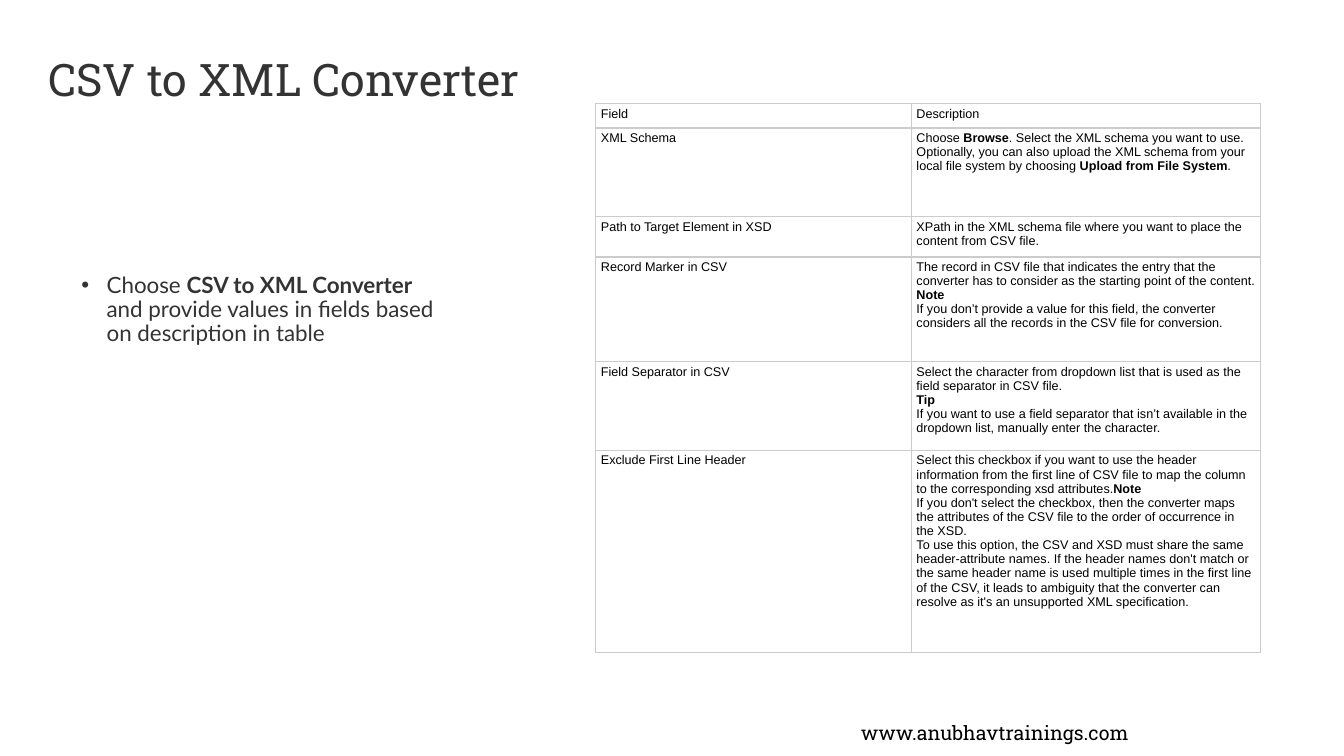
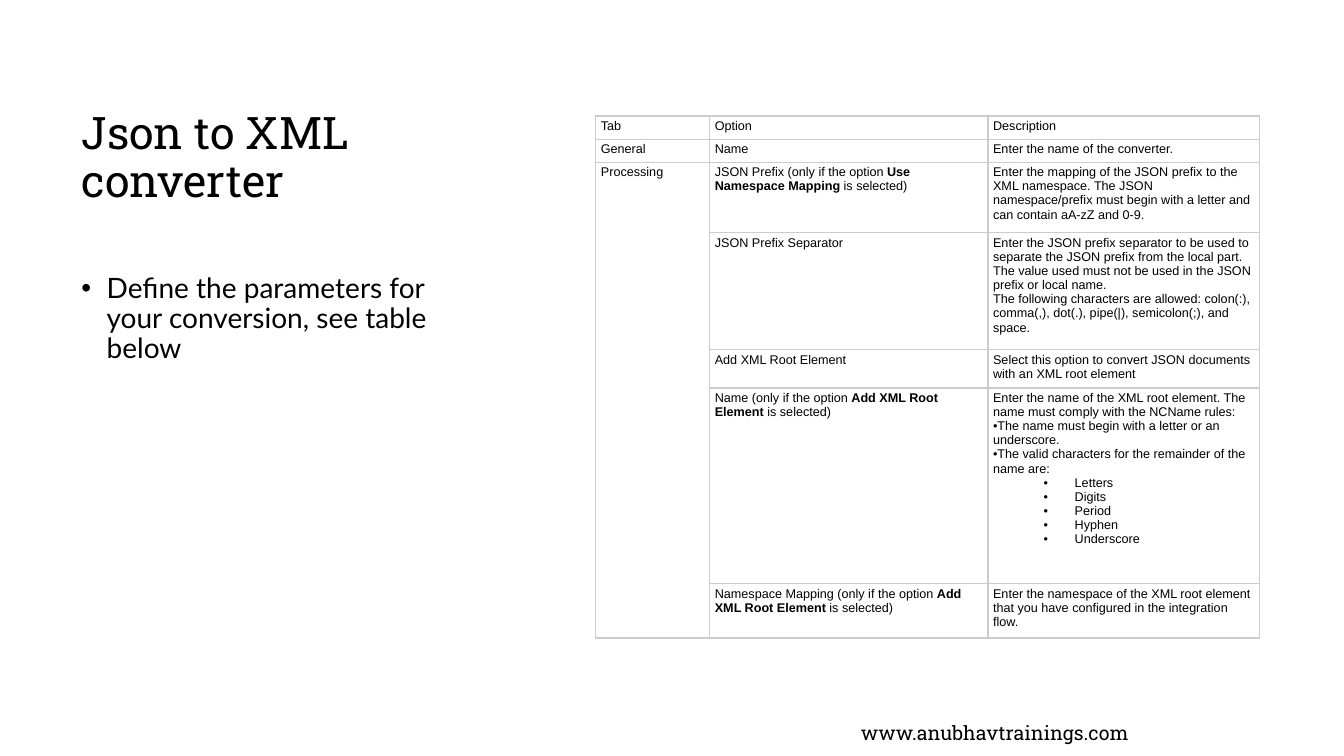
"""Build two slides that explain converter settings in tables."""
from collections import namedtuple

from lxml.etree import SubElement
from pptx import Presentation
from pptx.dml.color import RGBColor
from pptx.enum.text import MSO_ANCHOR as Anchor, MSO_AUTO_SIZE as AutoSize, PP_ALIGN as Align
from pptx.oxml import parse_xml
from pptx.oxml.ns import nsdecls, qn
from pptx.util import Inches, Pt

BLACK = RGBColor(0x00, 0x00, 0x00)
CHARCOAL = RGBColor(0x33, 0x33, 0x33)
BORDER_GREY = RGBColor(0xCC, 0xCC, 0xCC)
HEADING_FONT, BODY_FONT, TABLE_FONT = "Roboto Slab", "Lato", "Arial"
TITLE_ONLY = 5
FOOTER = "www.anubhavtrainings.com"
FOOTER_BOX = (8.44, 7.1, 3.15, 0.34)
BODY_BOX = (0.71, 2.67, 3.83, 4.14)
TABLE_LEFT = 5.91

Bullet = namedtuple("Bullet", "text left hang", defaults=(0, 0))


def listed(text):
    """Return a deeply indented table bullet."""
    return Bullet(text, 0.81, 0.31)


SLIDES = [
    {
        "title": "CSV to XML Converter",
        "title_box": (0.38, 0.36, 5.43, 0.91),
        "color": CHARCOAL,
        "body": "Choose **CSV to XML Converter** and provide values in fields based on description in table",
        "body_size": 16,
        "table_top": 1.03,
        "columns": [3.13, 3.46],
        "row_heights": [0.24, 0.88, 0.4, 1.04, 0.88, 2],
        "merges": [],
        "rows": [
            ["Field", "Description"],
            ["XML Schema", [
                "Choose **Browse**. Select the XML schema you want to use.",
                "Optionally, you can also upload the XML schema from your local file system "
                "by choosing **Upload from File System**."]],
            ["Path to Target Element in XSD",
             "XPath in the XML schema file where you want to place the content from CSV file."],
            ["Record Marker in CSV", [
                "The record in CSV file that indicates the entry that the converter has to "
                "consider as the starting point of the content.",
                "**Note**",
                "If you don’t provide a value for this field, the converter considers all the "
                "records in the CSV file for conversion."]],
            ["Field Separator in CSV", [
                "Select the character from dropdown list that is used as the field separator in CSV file.",
                "**Tip**",
                "If you want to use a field separator that isn’t available in the dropdown list, "
                "manually enter the character."]],
            ["Exclude First Line Header", [
                "Select this checkbox if you want to use the header information from the first line "
                "of CSV file to map the column to the corresponding xsd attributes.**Note**",
                "If you don't select the checkbox, then the converter maps the attributes of the "
                "CSV file to the order of occurrence in the XSD.",
                "To use this option, the CSV and XSD must share the same header-attribute names. "
                "If the header names don't match or the same header name is used multiple times in "
                "the first line of the CSV, it leads to ambiguity that the converter can resolve as "
                "it's an unsupported XML specification."]],
        ],
    },
    {
        "title": "Json to XML converter",
        "title_box": (0.71, 0.69, 3.83, 1.77),
        "color": BLACK,
        "body": "Define the parameters for your conversion, see table below",
        "body_size": 20,
        "table_top": 1.15,
        "columns": [1.13, 2.76, 2.69],
        "row_heights": [0.23, 0.23, 0.7, 1.16, 0.38, 1.94, 0.54],
        "merges": [((2, 0), (6, 0))],
        "rows": [
            ["Tab", "Option", "Description"],
            ["General", "Name", "Enter the name of the converter."],
            ["Processing",
             "JSON Prefix (only if the option **Use Namespace Mapping** is selected)",
             "Enter the mapping of the JSON prefix to the XML namespace. The JSON "
             "namespace/prefix must begin with a letter and can contain aA-zZ and 0-9."],
            ["", "JSON Prefix Separator", [
                "Enter the JSON prefix separator to be used to separate the JSON prefix from the "
                "local part. The value used must not be used in the JSON prefix or local name.",
                "The following characters are allowed: colon(:), comma(,), dot(.), pipe(|), "
                "semicolon(;), and space."]],
            ["", "Add XML Root Element",
             "Select this option to convert JSON documents with an XML root element"],
            ["", "Name (only if the option **Add XML Root Element** is selected)", [
                "Enter the name of the XML root element. The name must comply with the NCName rules:",
                Bullet("The name must begin with a letter or an underscore."),
                Bullet("The valid characters for the remainder of the name are:"),
                *map(listed, ["Letters", "Digits", "Period", "Hyphen", "Underscore"])]],
            ["", "Namespace Mapping (only if the option **Add XML Root Element** is selected)",
             "Enter the namespace of the XML root element that you have configured in the "
             "integration flow."],
        ],
    },
]


def write_text(frame, content, size, font, color=BLACK, line_spacing=None):
    """Fill a text frame, with bold parts between double asterisks."""
    frame.word_wrap = True
    for index, item in enumerate(content if isinstance(content, list) else [content]):
        paragraph = frame.add_paragraph() if index else frame.paragraphs[0]
        paragraph.alignment = Align.LEFT
        if line_spacing:
            paragraph.line_spacing = line_spacing
        text = item
        if isinstance(item, Bullet):
            text = item.text
            properties = paragraph._p.get_or_add_pPr()
            properties.set("marL", str(Inches(item.left)))
            properties.set("indent", str(-Inches(item.hang)))
            SubElement(properties, qn("a:buFont"), typeface="Arial")
            SubElement(properties, qn("a:buChar"), char="•")
        for part_number, part in enumerate(text.split("**")):
            if part:
                run = paragraph.add_run()
                run.text = part
                run.font.size = Pt(size)
                run.font.name = font
                run.font.bold = part_number % 2 == 1
                run.font.color.rgb = color


def add_text_box(slide, box, content, **text_format):
    """Add a text box with formatted text."""
    shape = slide.shapes.add_textbox(*map(Inches, box))
    write_text(shape.text_frame, content, **text_format)


def format_cell(cell):
    """Give a cell its margins, thin grey borders and no fill."""
    cell.margin_left = cell.margin_right = Inches(0.05)
    cell.margin_top = cell.margin_bottom = Inches(0.03)
    cell.fill.background()
    properties = cell._tc.get_or_add_tcPr()
    for position, side in enumerate(("lnL", "lnR", "lnT", "lnB")):
        properties.insert(position, parse_xml(
            f'<a:{side} {nsdecls("a")} w="{Pt(1)}"><a:solidFill>'
            f'<a:srgbClr val="{BORDER_GREY}"/></a:solidFill></a:{side}>'))


def add_settings_table(slide, data):
    """Add the table of converter settings."""
    columns, heights = data["columns"], data["row_heights"]
    box = (TABLE_LEFT, data["table_top"], sum(columns), sum(heights))
    table = slide.shapes.add_table(len(heights), len(columns), *map(Inches, box)).table
    table.first_row = table.horz_banding = False
    for column, width in zip(table.columns, columns):
        column.width = Inches(width)
    for row, height, contents in zip(table.rows, heights, data["rows"]):
        row.height = Inches(height)
        for cell, content in zip(row.cells, contents):
            format_cell(cell)
            write_text(cell.text_frame, content, size=9, font=TABLE_FONT)
    for first, last in data["merges"]:
        table.cell(*first).merge(table.cell(*last))


def add_converter_slide(presentation, data):
    """Add one slide with title, instruction, table and footer."""
    slide = presentation.slides.add_slide(presentation.slide_layouts[TITLE_ONLY])
    color = data["color"]
    title = slide.shapes.title
    title.left, title.top, title.width, title.height = map(Inches, data["title_box"])
    title.text_frame.auto_size = AutoSize.NONE
    title.text_frame.vertical_anchor = Anchor.MIDDLE
    write_text(title.text_frame, data["title"], size=32, font=HEADING_FONT,
               color=color, line_spacing=0.9)
    add_text_box(slide, BODY_BOX, [Bullet(data["body"], 0.25, 0.25)],
                 size=data["body_size"], font=BODY_FONT, color=color, line_spacing=0.9)
    add_settings_table(slide, data)
    add_text_box(slide, FOOTER_BOX, FOOTER, size=14, font=HEADING_FONT)


def main():
    """Build and save the presentation."""
    presentation = Presentation()
    presentation.slide_width, presentation.slide_height = Inches(13.33), Inches(7.5)
    for data in SLIDES:
        add_converter_slide(presentation, data)
    presentation.save("out.pptx")


if __name__ == "__main__":
    main()
